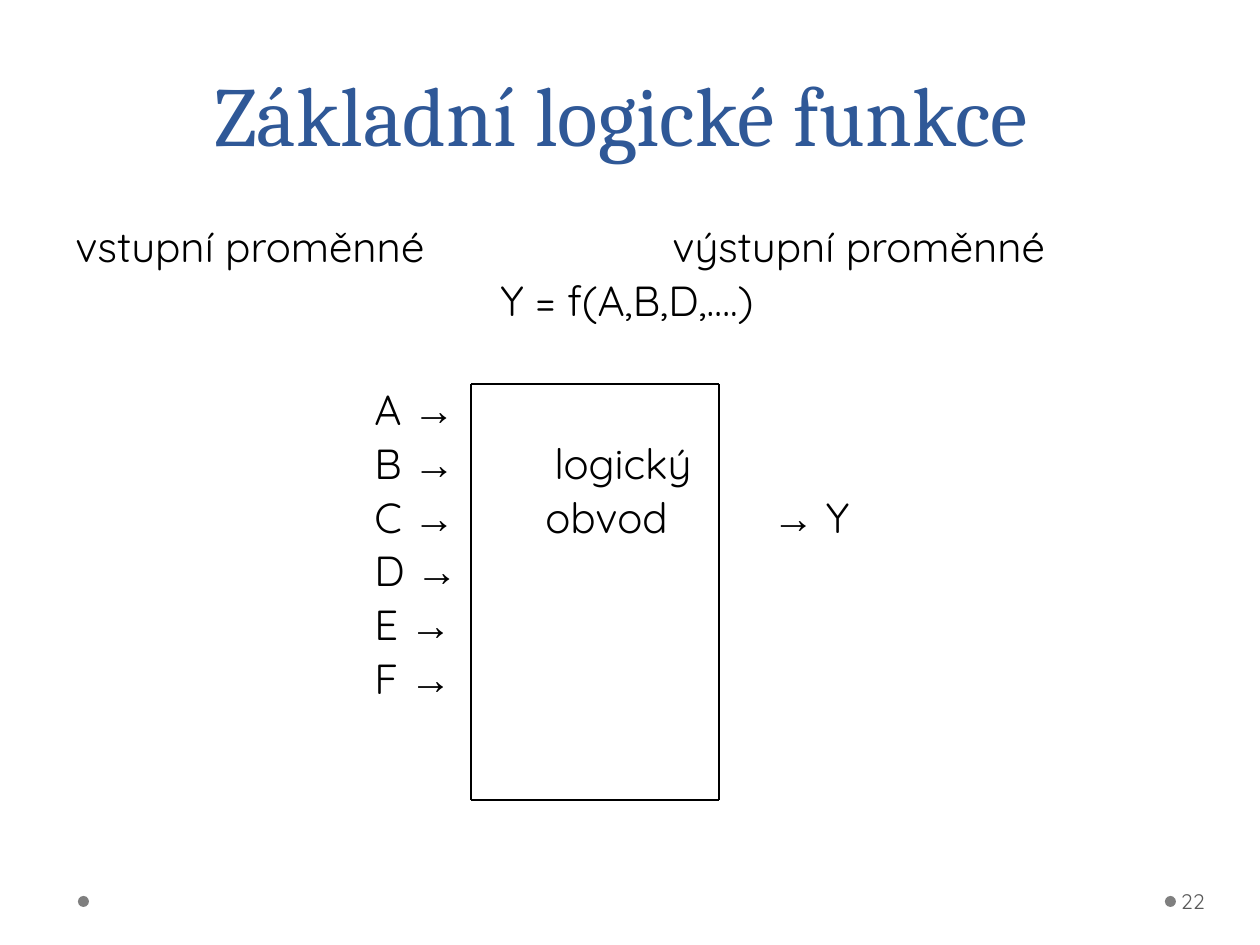
from itertools import pairwise

from lxml.etree import SubElement
from pptx import Presentation
from pptx.dml.color import RGBColor
from pptx.enum.shapes import MSO_CONNECTOR, MSO_SHAPE
from pptx.enum.text import MSO_ANCHOR, PP_ALIGN
from pptx.oxml.ns import qn
from pptx.util import Emu, Pt

PX = 914400 // 126
SLIDE_SIZE = (1260, 945)
BODY_FONT, ARROW_FONT = "Quicksand", "Arial"
ARROW = "→"
INPUT_TAB, OUTPUT_TAB = 299, 697

TITLE = {
    "box": (54, 35, 1134, 135),
    "rows": [("Základní logické funkce", [], {"alignment": PP_ALIGN.CENTER, "line_spacing": Pt(58)})],
    "font": {"name": "Cambria", "size": Pt(48)},
    "color": "2F5897",
    "frame": {"vertical_anchor": MSO_ANCHOR.BOTTOM},
}
NUMBER = {
    "box": (1177, 876, 77, 50),
    "rows": [("22", [], {})],
    "font": {"name": BODY_FONT, "size": Pt(12)},
    "color": "595959",
    "frame": {"vertical_anchor": MSO_ANCHOR.MIDDLE, "margin_left": 4 * PX, "margin_right": 6 * PX},
}
HEADINGS = [
    ("vstupní proměnné\tvýstupní proměnné", [597]),
    ("\tY = f(A,B,D,….)", [425]),
]
INPUTS = "ABCDEF"
CIRCUIT = {
    "B": ("\tlogický", [479]),
    "C": (f"\tobvod\t{ARROW} Y", [470, OUTPUT_TAB]),
}
ROW_GAP, DIAGRAM_GAP = Pt(4.8), Pt(36.7)
CIRCUIT_CORNERS = [(471, 384), (719, 384), (719, 800), (471, 800), (471, 384)]
DOTS = [(1165, 896), (78, 896)]
DOT_SIZE = 11


def color(value):
    """Turn a hex string into a colour."""
    return RGBColor.from_string(value)


def assign(target, values):
    """Set each named attribute on the target."""
    for name, value in values.items():
        setattr(target, name, value)


def body_rows():
    """Return the text, tab stops and format of every body paragraph."""
    rows = list(HEADINGS)
    for letter in INPUTS:
        text, tabs = CIRCUIT.get(letter, ("", []))
        rows.append((f"\t{letter} {ARROW}{text}", [INPUT_TAB, *tabs]))
    gaps = [Pt(0)] + [ROW_GAP] * (len(rows) - 1)
    gaps[len(HEADINGS)] = DIAGRAM_GAP
    return [(*row, {"line_spacing": 0.9, "space_before": gap}) for row, gap in zip(rows, gaps)]


def add_tabs(paragraph, positions):
    """Add left tab stops to a paragraph."""
    if positions:
        tab_list = SubElement(paragraph._p.get_or_add_pPr(), qn("a:tabLst"))
        for position in positions:
            SubElement(tab_list, qn("a:tab"), pos=str(position * PX), algn="l")


def add_runs(paragraph, text, font, hex_color):
    """Write the text, with arrows in their own font."""
    for index, part in enumerate(text.split(ARROW)):
        pieces = [(ARROW, ARROW_FONT)] if index else []
        pieces += [(part, font["name"])] if part else []
        for piece, name in pieces:
            run = paragraph.add_run()
            run.text = piece
            assign(run.font, {**font, "name": name})
            run.font.color.rgb = color(hex_color)


def add_text(slide, box, rows, font, hex_color, frame_format):
    """Add a text box with formatted paragraphs."""
    frame = slide.shapes.add_textbox(*(Emu(value * PX) for value in box)).text_frame
    assign(frame, {"word_wrap": True, **frame_format})
    for index, (text, tabs, paragraph_format) in enumerate(rows):
        paragraph = frame.add_paragraph() if index else frame.paragraphs[0]
        assign(paragraph, paragraph_format)
        add_tabs(paragraph, tabs)
        add_runs(paragraph, text, font, hex_color)


def add_dot(slide, left, top):
    """Add a grey footer dot."""
    dot = slide.shapes.add_shape(
        MSO_SHAPE.OVAL, *(Emu(value * PX) for value in (left, top, DOT_SIZE, DOT_SIZE))
    )
    dot.shadow.inherit = False
    dot.fill.solid()
    dot.fill.fore_color.rgb = color("7F7F7F")
    dot.line.fill.background()


def add_line(slide, start, end):
    """Add one side of the circuit outline."""
    line = slide.shapes.add_connector(
        MSO_CONNECTOR.STRAIGHT, *(Emu(value * PX) for value in (*start, *end))
    )
    line.line.color.rgb = color("000000")
    line.line.width = Pt(0.75)
    SubElement(line._element.spPr, qn("a:effectLst"))


def main():
    """Build and save the slide."""
    presentation = Presentation()
    width, height = (Emu(value * PX) for value in SLIDE_SIZE)
    assign(presentation, {"slide_width": width, "slide_height": height})
    slide = presentation.slides.add_slide(presentation.slide_layouts[6])
    body = {
        "box": (63, 220, 1134, 624),
        "rows": body_rows(),
        "font": {"name": BODY_FONT, "size": Pt(24)},
        "color": "000000",
        "frame": {},
    }
    for left, top in DOTS:
        add_dot(slide, left, top)
    for block in (TITLE, body, NUMBER):
        add_text(slide, *block.values())
    for start, end in pairwise(CIRCUIT_CORNERS):
        add_line(slide, start, end)
    presentation.save("out.pptx")


if __name__ == "__main__":
    main()
